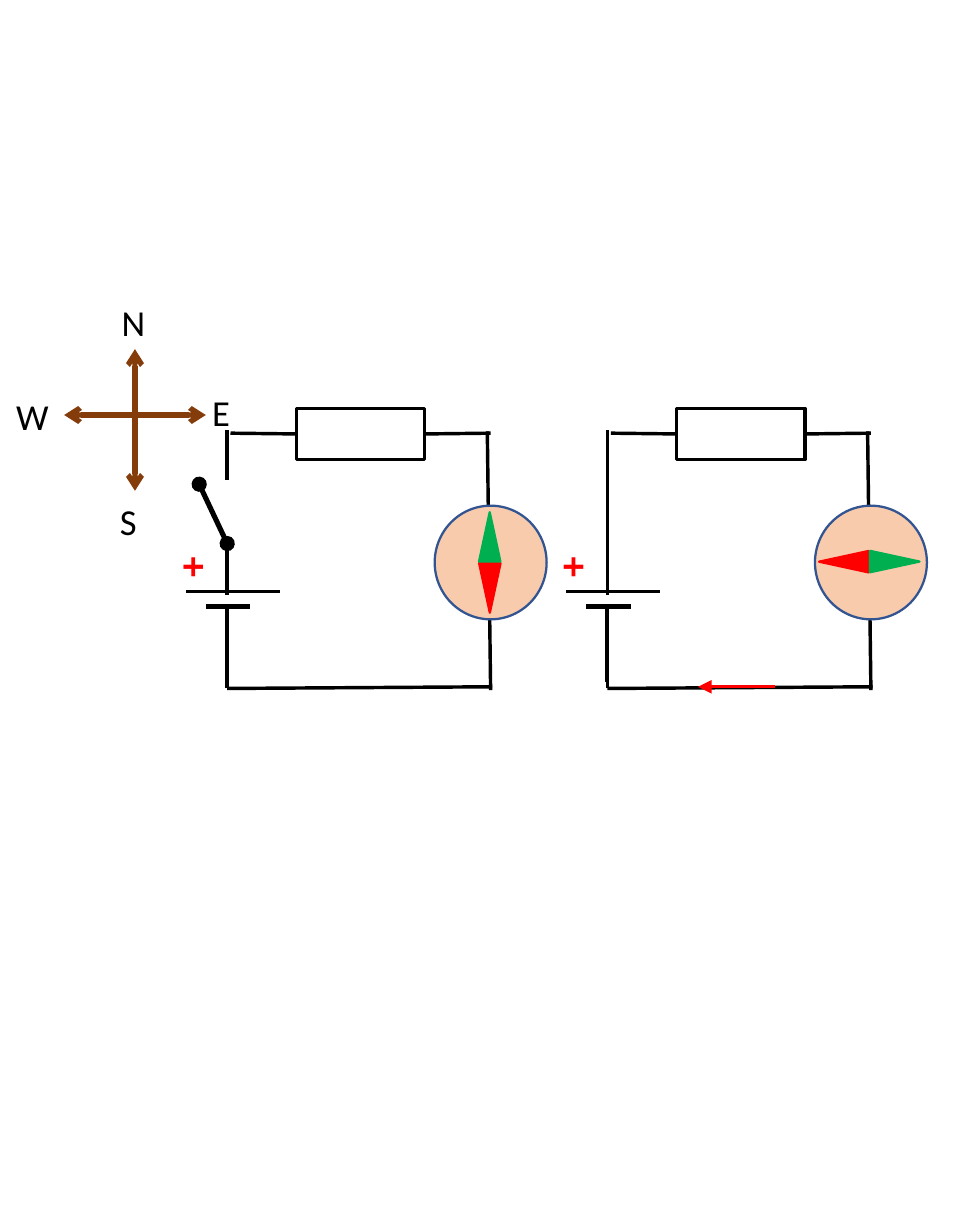
from dataclasses import dataclass

from lxml import etree
from pptx import Presentation
from pptx.dml.color import RGBColor
from pptx.enum.shapes import MSO_CONNECTOR, MSO_SHAPE
from pptx.enum.text import MSO_AUTO_SIZE
from pptx.oxml.ns import qn
from pptx.util import Inches, Pt

STRAIGHT = MSO_CONNECTOR.STRAIGHT
RECTANGLE = MSO_SHAPE.RECTANGLE
OVAL = MSO_SHAPE.OVAL
TRIANGLE = MSO_SHAPE.ISOSCELES_TRIANGLE
FIT_SHAPE = MSO_AUTO_SIZE.SHAPE_TO_FIT_TEXT
LEFT_SIDE, RIGHT_SIDE = 1, 3
CIRCUIT_STEP = 2.31


@dataclass(frozen=True)
class Theme:
    font: str = "Calibri"
    black: str = "000000"
    white: str = "FFFFFF"
    red: str = "FF0000"
    green: str = "00B050"
    brown: str = "843C0B"
    dial: str = "F8CBAD"
    dial_edge: str = "325491"
    label_size: float = 16
    sign_size: float = 18
    thin: float = 0.5
    outline: float = 1
    wire: float = 1.5
    thick: float = 2.25


class CircuitSlide:
    def __init__(self, slide, theme):
        self.shapes = slide.shapes
        self.theme = theme

    def line(self, start, end, width=None, color=None, head=None, tail=None, join=None):
        points = [Inches(value) for value in (*start, *end)]
        connector = self.shapes.add_connector(STRAIGHT, *points)
        if join:
            connector.end_connect(*join)
        connector.line.width = Pt(width or self.theme.wire)
        connector.line.color.rgb = RGBColor.from_string(color or self.theme.black)
        outline = connector.line._get_or_add_ln()
        for tag, kind in (("a:headEnd", head), ("a:tailEnd", tail)):
            if kind:
                etree.SubElement(outline, qn(tag)).set("type", kind)
        etree.SubElement(connector._element.spPr, qn("a:effectLst"))

    def shape(self, kind, left, top, width, height, fill, edge, weight=None, turn=0):
        box = self.shapes.add_shape(
            kind, Inches(left), Inches(top), Inches(width), Inches(height))
        box.shadow.inherit = False
        box.rotation = turn
        if fill:
            box.fill.solid()
            box.fill.fore_color.rgb = RGBColor.from_string(fill)
        else:
            box.fill.background()
        box.line.color.rgb = RGBColor.from_string(edge)
        box.line.width = Pt(weight or self.theme.outline)
        return box

    def text(self, words, left, top, width, height, size, color, bold=False, turn=0):
        box = self.shapes.add_textbox(
            Inches(left), Inches(top), Inches(width), Inches(height))
        box.rotation = turn
        box.text_frame.word_wrap = False
        box.text_frame.auto_size = FIT_SHAPE
        span = box.text_frame.paragraphs[0].add_run()
        span.text = words
        span.font.name = self.theme.font
        span.font.size = Pt(size)
        span.font.bold = bold
        span.font.color.rgb = RGBColor.from_string(color)

    def resistor(self, x):
        theme = self.theme
        box = self.shape(RECTANGLE, x + 1.8, 2.48, 0.78, 0.31,
                         None, theme.black, theme.wire)
        self.line((x + 1.4, 2.63), (x + 1.8, 2.63), join=(box, LEFT_SIDE))
        self.line((x + 2.98, 2.63), (x + 2.58, 2.63), join=(box, RIGHT_SIDE))

    def battery(self, x):
        theme = self.theme
        self.shape(RECTANGLE, x + 1.31, 3.62, 0.14, 0.04, theme.white, theme.white)
        self.line((x + 1.13, 3.59), (x + 1.7, 3.59))
        self.line((x + 1.25, 3.68), (x + 1.52, 3.68), theme.thick)
        self.text("+", x + 0.99, 3.24, 0.33, 0.4,
                  theme.sign_size, theme.red, bold=True, turn=270)
        self.line((x + 1.37, 4.14), (x + 1.37, 3.7), theme.thin)
        self.line((x + 1.38, 3.58), (x + 1.38, 3.13), theme.thin)

    def compass(self, x, needles):
        theme = self.theme
        self.shape(OVAL, x + 2.64, 3.07, 0.68, 0.69, theme.dial, theme.dial_edge)
        for color, turn, across, down in needles:
            self.shape(TRIANGLE, x + 2.91 + across, 3.26 + down, 0.13, 0.3,
                       color, color, turn=turn)

    def circuit(self, x, needles):
        self.line((x + 1.38, 4.18), (x + 2.99, 4.17))
        self.resistor(x)
        self.line((x + 2.98, 4.19), (x + 2.96, 2.62))
        self.line((x + 1.38, 4.18), (x + 1.38, 2.61))
        self.battery(x)
        self.compass(x, needles)

    def open_switch(self):
        theme = self.theme
        self.shape(RECTANGLE, 1.36, 2.92, 0.07, 0.37, theme.white, theme.white)
        self.line((1.38, 3.3), (1.21, 2.94), theme.thick, head="oval", tail="oval")

    def directions(self):
        theme = self.theme
        for start, end in (((0.82, 2.12), (0.82, 2.98)), ((0.39, 2.52), (1.25, 2.52))):
            self.line(start, end, theme.thick, theme.brown, "arrow", "arrow")
        for letter, left, top, width in (("N", 0.64, 1.77, 0.35), ("S", 0.63, 2.98, 0.31),
                                         ("E", 1.19, 2.32, 0.31), ("W", 0, 2.34, 0.4)):
            self.text(letter, left, top, width, 0.37, theme.label_size, theme.black)


def main():
    deck = Presentation()
    deck.slide_width, deck.slide_height = Inches(5.91), Inches(7.48)
    theme = Theme()
    page = CircuitSlide(deck.slides.add_slide(deck.slide_layouts[6]), theme)
    page.circuit(0, ((theme.red, 180, 0, 0.16), (theme.green, 0, 0, -0.15)))
    page.open_switch()
    page.circuit(CIRCUIT_STEP, ((theme.red, 270, -0.16, 0), (theme.green, 90, 0.15, 0)))
    page.directions()
    page.line((4.71, 4.17), (4.24, 4.17), color=theme.red, tail="triangle")
    deck.save("out.pptx")


if __name__ == "__main__":
    main()
